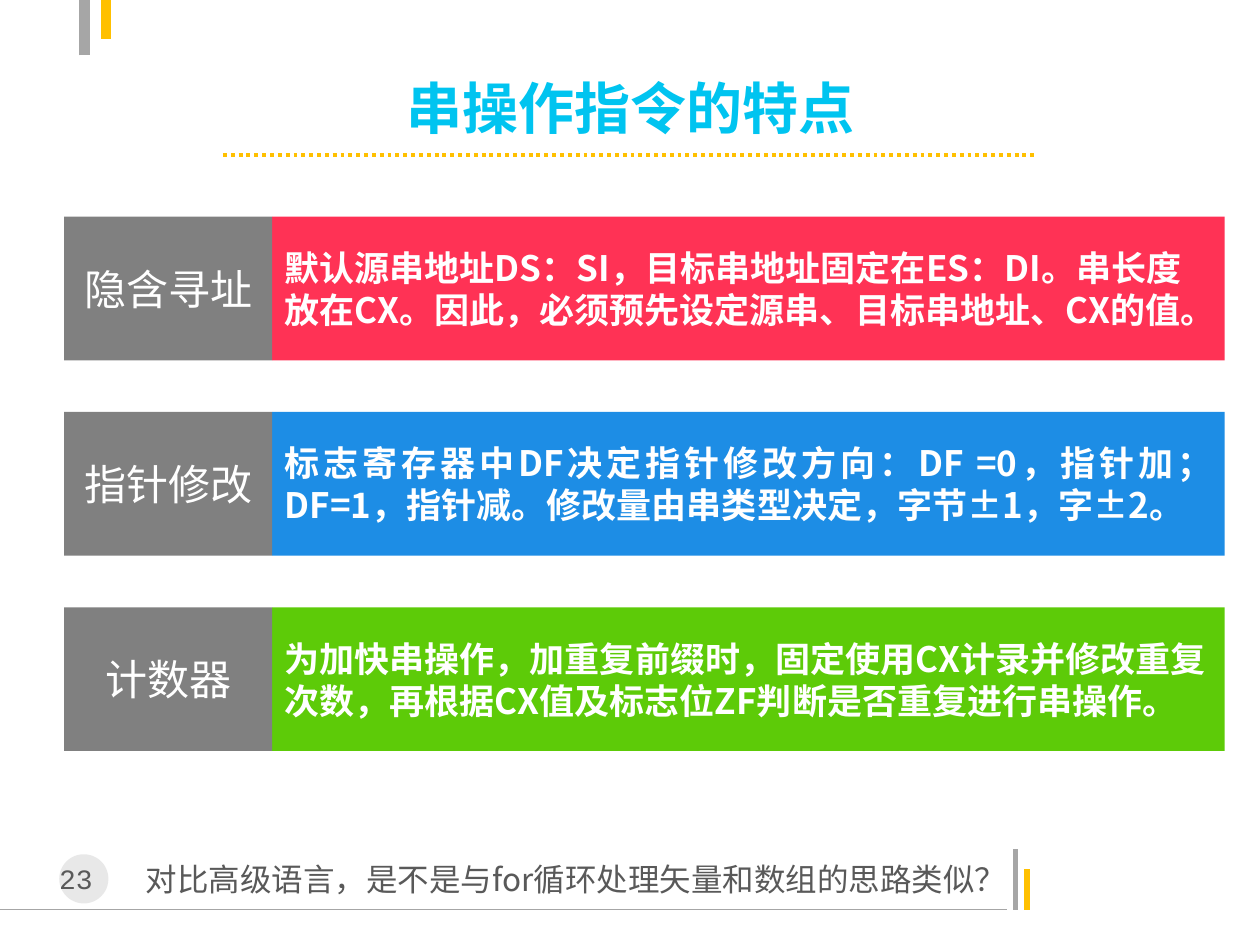
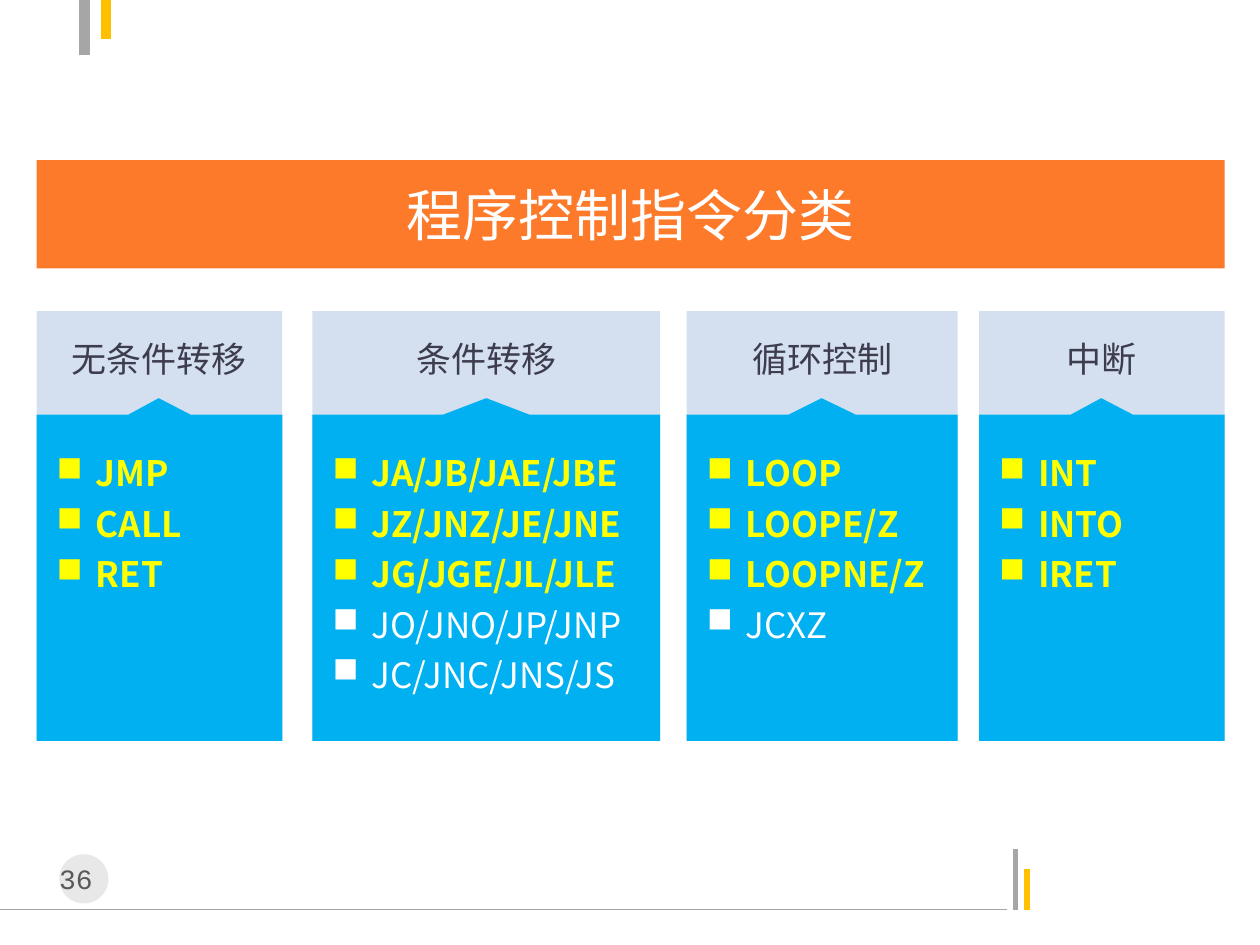
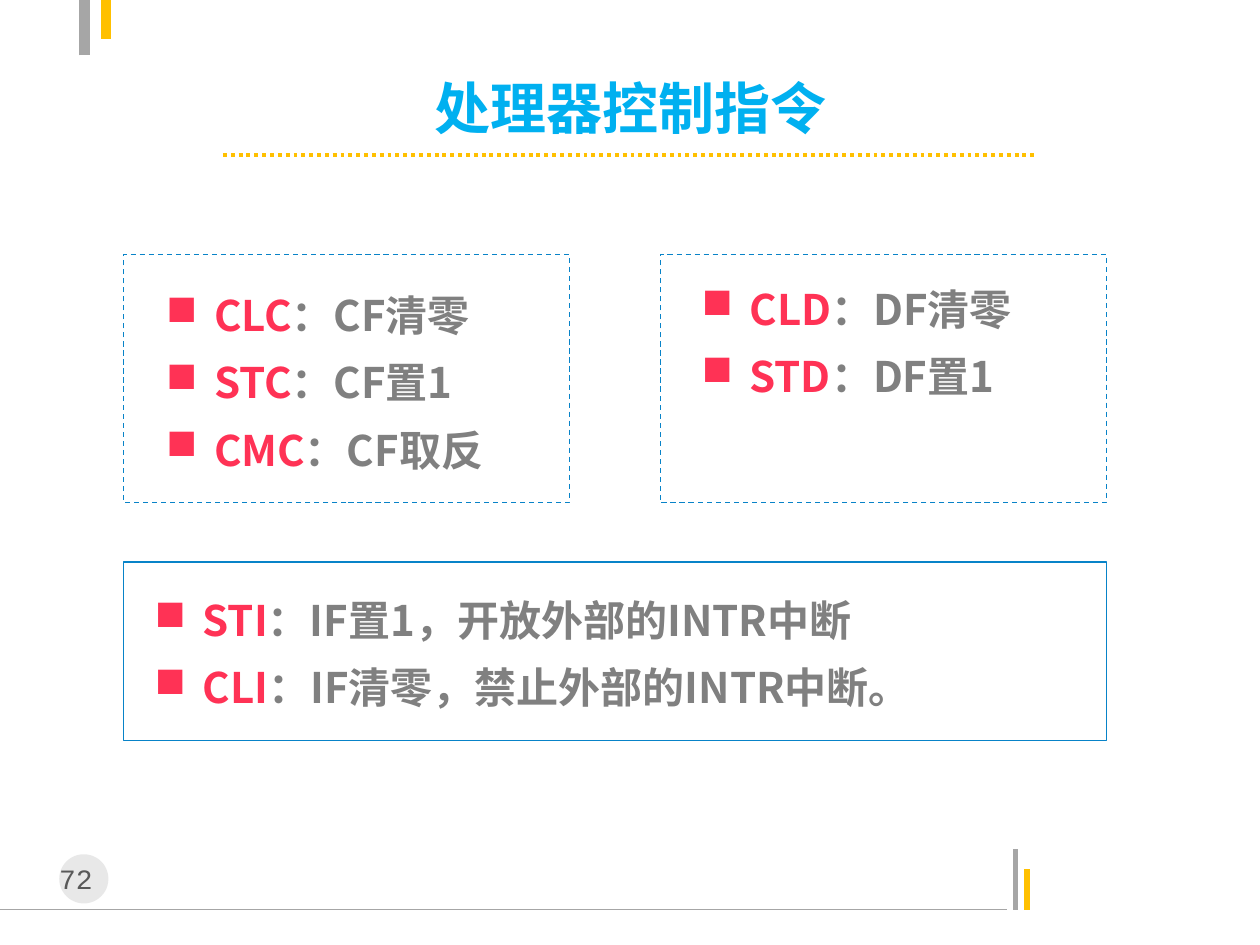
import pptx
import pptx.util
import pptx.dml.color
import pptx.enum.dml
import pptx.enum.shapes
import pptx.enum.text
import pptx.oxml.ns
import lxml.etree

RGB = pptx.dml.color.RGBColor
ALIGN = pptx.enum.text.PP_ALIGN
ANCHOR = pptx.enum.text.MSO_ANCHOR
FIT = pptx.enum.text.MSO_AUTO_SIZE
DASH = pptx.enum.dml.MSO_LINE
SHAPE = pptx.enum.shapes.MSO_SHAPE
LINK = pptx.enum.shapes.MSO_CONNECTOR
Pt = pptx.util.Pt
qn = pptx.oxml.ns.qn

PX = 9144
SANS = "Noto Sans CJK SC"
WHITE = RGB(0xFF, 0xFF, 0xFF)
GRAY = RGB(0x80, 0x80, 0x80)
RULE = RGB(0xA6, 0xA6, 0xA6)
DISC = RGB(0xBF, 0xBF, 0xBF)
INK = RGB(0x59, 0x59, 0x59)
SLATE = RGB(0x3E, 0x3D, 0x4F)
GOLD = RGB(0xFF, 0xC0, 0x00)
YELLOW = RGB(0xFF, 0xFF, 0x00)
RED = RGB(0xFF, 0x32, 0x55)
BLUE = RGB(0x1D, 0x8D, 0xE5)
GREEN = RGB(0x5D, 0xCB, 0x08)
ORANGE = RGB(0xFD, 0x7A, 0x2A)
CYAN = RGB(0x00, 0xC4, 0xF0)
SKY = RGB(0x00, 0xB0, 0xF0)
MIST = RGB(0x95, 0xB3, 0xD7)
EDGE = RGB(0x08, 0x83, 0xC8)


def font(size, color, bold=False, name=SANS):
    return {"size": Pt(size), "bold": bold, "name": name, "color": color}


def px(*nums):
    return [round(num * PX) for num in nums]


def apply(item, form):
    for key, val in form.items():
        setattr(item, key, val)


class Deck:
    def __init__(self):
        self.prs = pptx.Presentation()
        self.prs.slide_width, self.prs.slide_height = px(1000, 750)
        self.slide = None

    def start(self, number):
        self.slide = self.prs.slides.add_slide(self.prs.slide_layouts[5])
        self.line((0, 722, 799, 722), RULE, 0.75)
        self.line((806, 722, 806, 674), RULE, 3)
        self.line((815, 722, 815, 690), GOLD, 3)
        self.line((67, 44, 67, 0), RULE, 6)
        self.line((84, 0, 84, 31), GOLD, 6)
        self.shape((47, 678, 39, 39), DISC, SHAPE.OVAL, alpha=35)
        self.text((31, 679, 71, 37), [[(number, font(16, INK, name="Courier New"))]],
                  pad=(16, 5))

    def line(self, ends, color, width, dash=None):
        item = self.slide.shapes.add_connector(LINK.STRAIGHT, *px(*ends))
        item.line.color.rgb = color
        apply(item.line, {"width": Pt(width), "dash_style": dash})
        lxml.etree.SubElement(item._element.spPr, qn("a:effectLst"))

    def paint(self, item, fill, alpha=None):
        item.shadow.inherit = False
        item.line.fill.background()
        if fill is None:
            item.fill.background()
            return
        item.fill.solid()
        item.fill.fore_color.rgb = fill
        if alpha:
            node = item._element.spPr.find(".//" + qn("a:srgbClr"))
            lxml.etree.SubElement(node, qn("a:alpha"), val=str(alpha * 1000))

    def shape(self, box, fill, kind=SHAPE.RECTANGLE, alpha=None):
        item = self.slide.shapes.add_shape(kind, *px(*box))
        self.paint(item, fill, alpha)
        return item

    def frame(self, box, dash=None):
        item = self.shape(box, None)
        item.line.color.rgb = EDGE
        apply(item.line, {"width": Pt(0.75), "dash_style": dash})

    def label(self, item, paras, align=ALIGN.LEFT, anchor=ANCHOR.MIDDLE,
              pad=(10, 5), space=None, hang=None, fit=FIT.NONE):
        frame = item.text_frame
        side, top = px(*pad)
        apply(frame, {"word_wrap": True, "auto_size": fit, "vertical_anchor": anchor,
                      "margin_left": side, "margin_right": side,
                      "margin_top": top, "margin_bottom": px(5)[0]})
        for num, runs in enumerate(paras):
            para = frame.add_paragraph() if num else frame.paragraphs[0]
            apply(para, {"alignment": align, "line_spacing": space})
            if hang:
                prop = para._p.get_or_add_pPr()
                dent = px(hang)[0]
                prop.set("marL", str(dent))
                prop.set("indent", str(-dent))
                lxml.etree.SubElement(prop, qn("a:buChar"), char="■")
            for words, form in runs:
                run = para.add_run()
                run.text = words
                form = dict(form)
                run.font.color.rgb = form.pop("color")
                apply(run.font, form)
                lxml.etree.SubElement(run._r.get_or_add_rPr(), qn("a:ea"), typeface=SANS)

    def text(self, box, paras, **form):
        item = self.slide.shapes.add_textbox(*px(*box))
        self.label(item, paras, anchor=ANCHOR.TOP, fit=FIT.SHAPE_TO_FIT_TEXT, **form)

    def block(self, box, fill, words, form, align):
        self.label(self.shape(box, fill), [[(words, form)]], align)

    def title(self, box, words, form):
        item = self.slide.shapes.title
        apply(item, dict(zip(("left", "top", "width", "height"), px(*box))))
        self.label(item, [[(words, form)]], ALIGN.CENTER)
        return item

    def head(self, words, color):
        self.title((138, 60, 725, 50), words, font(32, color, True))
        self.line((177, 123, 823, 123), GOLD, 2.25, DASH.ROUND_DOT)

    def card(self, left, width, name, main, rest):
        top, neck, base = 316, 329, 588
        mid, half, right = left + width / 2, width / 8, left + width
        self.shape((left, 247, width, 341), MIST, alpha=40)
        form = self.slide.shapes.build_freeform(mid, top, scale=PX)
        form.add_line_segments([(mid + half, neck), (right, neck), (right, base),
                                (left, base), (left, neck), (mid - half, neck)])
        item = form.convert_to_shape()
        self.paint(item, SKY)
        paras = [[(word, font(20, YELLOW, True))] for word in main]
        paras += [[(word, font(20, WHITE))] for word in rest]
        self.label(item, paras, anchor=ANCHOR.TOP, pad=(16, 36), space=1.2, hang=31)
        self.text((left, 263, width, 44), [[(name, font(20, SLATE))]], align=ALIGN.CENTER)

    def terms(self, box, pairs):
        paras = [[(code, font(24, RED, True)), (note, font(24, GRAY, True))]
                 for code, note in pairs]
        self.text(box, paras, space=1.33, hang=38)


def traits(deck):
    deck.start("23")
    deck.head("串操作指令的特点", CYAN)
    rows = [
        ("隐含寻址", RED, ALIGN.LEFT,
         "默认源串地址DS：SI，目标串地址固定在ES：DI。串长度放在CX。因此，必须预先设定源串、目标串地址、CX的值。"),
        ("指针修改", BLUE, ALIGN.JUSTIFY,
         "标志寄存器中DF决定指针修改方向：DF =0，指针加；DF=1，指针减。修改量由串类型决定，字节±1，字±2。"),
        ("计数器", GREEN, ALIGN.LEFT,
         "为加快串操作，加重复前缀时，固定使用CX计录并修改重复次数，再根据CX值及标志位ZF判断是否重复进行串操作。"),
    ]
    for num, (name, fill, align, words) in enumerate(rows):
        top = 172 + 155 * num
        deck.block((216, top, 756, 114), fill, words, font(20, WHITE, True), align)
        deck.block((51, top, 165, 114), GRAY, name,
                   font(24, WHITE, name="Roboto Condensed"), ALIGN.CENTER)
    deck.text((106, 672, 693, 46),
              [[("对比高级语言，是不是与for循环处理矢量和数组的思路类似？", font(18, INK))]],
              space=1.2)


def classes(deck):
    deck.start("36")
    band = deck.title((29, 127, 943, 86), "程序控制指令分类", font(32, WHITE))
    deck.paint(band, ORANGE)
    cards = [
        (29, 195, "无条件转移", ["JMP", "CALL", "RET"], []),
        (248, 276, "条件转移", ["JA/JB/JAE/JBE", "JZ/JNZ/JE/JNE", "JG/JGE/JL/JLE"],
         ["JO/JNO/JP/JNP", "JC/JNC/JNS/JS"]),
        (545, 215, "循环控制", ["LOOP", "LOOPE/Z", "LOOPNE/Z"], ["JCXZ"]),
        (777, 195, "中断", ["INT", "INTO", "IRET"], []),
    ]
    for card in cards:
        deck.card(*card)


def control(deck):
    deck.start("72")
    deck.head("处理器控制指令", SKY)
    for left in (98, 524):
        deck.frame((left, 202, 354, 197), DASH.DASH)
    deck.frame((98, 446, 780, 142))
    deck.terms((122, 212, 331, 171),
               [("CLC", "：CF清零"), ("STC", "：CF置1"), ("CMC", "：CF取反")])
    deck.terms((547, 207, 331, 118), [("CLD", "：DF清零"), ("STD", "：DF置1")])
    deck.terms((113, 454, 763, 118),
               [("STI", "：IF置1，开放外部的INTR中断"),
                ("CLI", "：IF清零，禁止外部的INTR中断。")])


def main():
    deck = Deck()
    for build in (traits, classes, control):
        build(deck)
    deck.prs.save("out.pptx")


if __name__ == "__main__":
    main()
